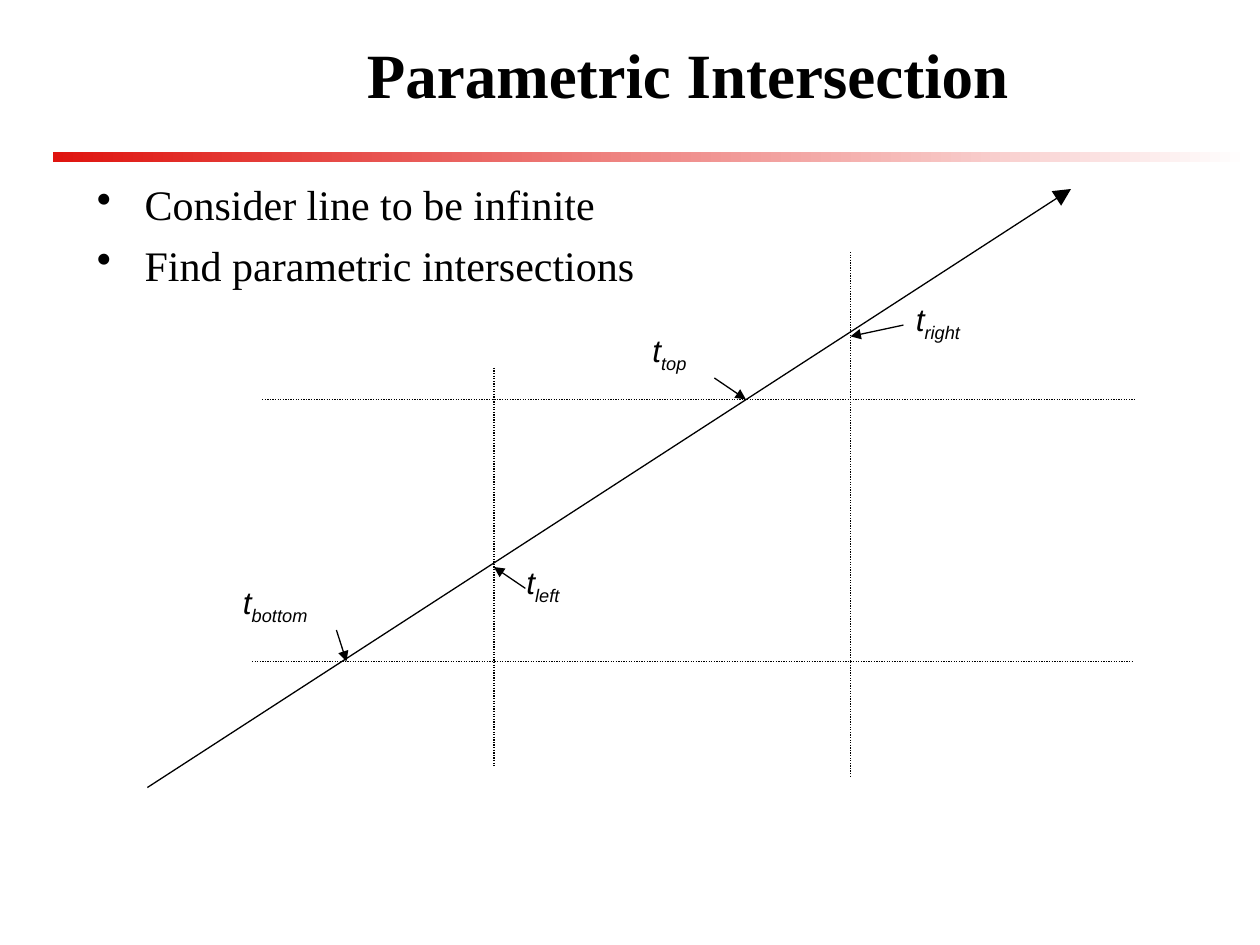
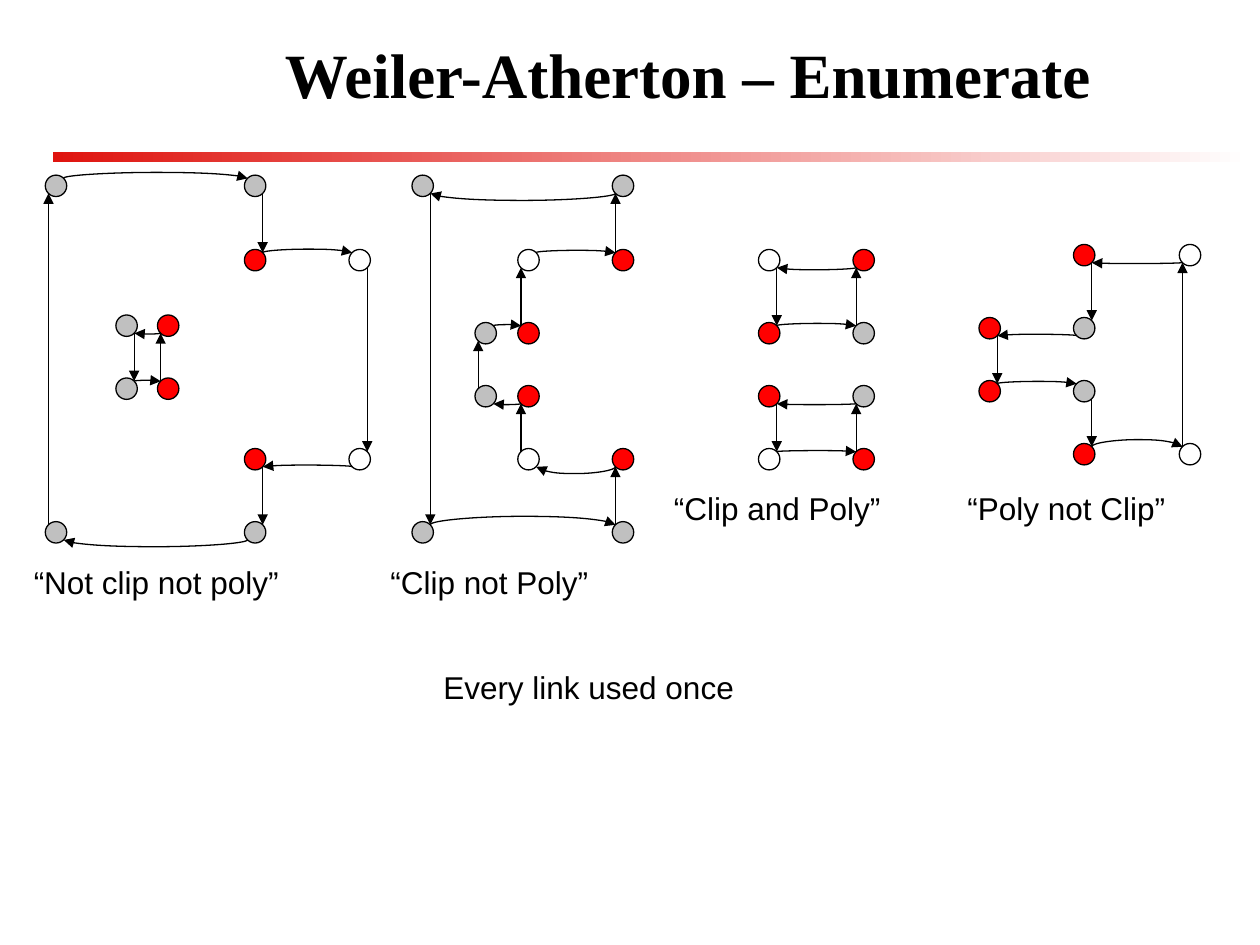
"""Build two slides on parametric intersection and Weiler-Atherton clipping."""
import pptx
import pptx.util
import pptx.dml.color
import pptx.enum.dml
import pptx.enum.shapes
import pptx.enum.text
import pptx.oxml.ns
from lxml import etree

Inches = pptx.util.Inches
Pt = pptx.util.Pt
RGB = pptx.dml.color.RGBColor.from_string
qn = pptx.oxml.ns.qn
SHAPE = pptx.enum.shapes.MSO_SHAPE
CONNECTOR = pptx.enum.shapes.MSO_CONNECTOR
COLORS = {"ink": "000000", "band": "DF140F", "paper": "FFFFFF", "gray": "C0C0C0", "red": "FF0000"}
SERIF, SANS = "Times New Roman", "Arial"
BEND_UNIT = 1588


def add_text(s, box, runs, size=18, font=SANS, bold=False, italic=False):
    tb = s.shapes.add_textbox(*[Inches(v) for v in box])
    tf = tb.text_frame
    tf.word_wrap = True
    p = tf.paragraphs[0]
    for text, baseline in runs:
        r = p.add_run()
        r.text = text
        r.font.name, r.font.size = font, Pt(size)
        r.font.bold, r.font.italic = bold, italic
        r.font.color.rgb = RGB(COLORS["ink"])
        if baseline:
            r.font._element.set("baseline", str(baseline))
    return tf


def add_line(s, start, end, head=None, dotted=False, bend=0):
    (x1, y1), (x2, y2) = start, end
    if bend:
        mid, half = (x1 + x2) / 2, (x2 - x1) / 2
        line = s.shapes.add_connector(CONNECTOR.CURVE, Inches(mid), Inches(y1 + half),
                                      Inches(mid) + BEND_UNIT, Inches(y1 - half))
        spPr = line._element.spPr
        spPr.find(qn("a:xfrm")).set("rot", "5400000")
        geom = spPr.find(qn("a:prstGeom"))
        guides = geom.find(qn("a:avLst"))
        if guides is None:
            guides = etree.SubElement(geom, qn("a:avLst"))
        etree.SubElement(guides, qn("a:gd"), name="adj1", fmla=f"val {bend * 100000}")
    else:
        line = s.shapes.add_connector(CONNECTOR.STRAIGHT, *[Inches(v) for v in (x1, y1, x2, y2)])
    line.line.color.rgb = RGB(COLORS["ink"])
    line.line.width = Pt(0.75)
    if dotted:
        line.line.dash_style = pptx.enum.dml.MSO_LINE.ROUND_DOT
    if head:
        etree.SubElement(line.line._get_or_add_ln(), qn("a:tailEnd"), type="triangle", w=head, len=head)
    etree.SubElement(line._element.spPr, qn("a:effectLst"))


prs = pptx.Presentation()
prs.slide_width, prs.slide_height = Inches(10), Inches(7.5)

slides = []
for title in ("Parametric Intersection", "Weiler-Atherton – Enumerate"):
    s = prs.slides.add_slide(prs.slide_layouts[6])
    band = s.shapes.add_shape(SHAPE.RECTANGLE, Inches(0.42), Inches(1.21), Inches(9.5), Inches(0.08))
    band.shadow.inherit = False
    band.line.fill.background()
    band.fill.gradient()
    band.fill.gradient_angle = 0
    for stop, color in zip(band.fill.gradient_stops, ("band", "paper")):
        stop.color.rgb = RGB(COLORS[color])
    tf = add_text(s, (1.17, 0.17, 8.58, 0.83), [(title, 0)], 36, SERIF, bold=True)
    tf.vertical_anchor = pptx.enum.text.MSO_ANCHOR.MIDDLE
    tf.paragraphs[0].alignment = pptx.enum.text.PP_ALIGN.CENTER
    slides.append(s)
intersection, enumerate_slide = slides

tf = add_text(intersection, (0.67, 1.33, 8.83, 1), [], 24, SERIF)
tf.margin_top = Inches(0.09)
for i, bullet in enumerate(("Consider line to be infinite", "Find parametric intersections")):
    p = tf.add_paragraph() if i else tf.paragraphs[0]
    pPr = p._p.get_or_add_pPr()
    pPr.set("marL", str(Inches(0.38)))
    pPr.set("indent", str(-Inches(0.38)))
    etree.SubElement(pPr, qn("a:buChar"), char="•")
    if i:
        p.space_before = Pt(6)
    r = p.add_run()
    r.text = bullet
    r.font.name, r.font.size = SERIF, Pt(24)
    r.font.color.rgb = RGB(COLORS["ink"])

clip_edges = [((3.92, 2.92), (3.92, 6.08)), ((6.75, 2), (6.75, 6.17)),
              ((2.08, 3.17), (9, 3.17)), ((2, 5.25), (9, 5.25))]
for start, end in clip_edges:
    add_line(intersection, start, end, dotted=True)
add_line(intersection, (1.17, 6.25), (8.5, 1.5), head="lg")

crossings = [("bottom", (1.83, 4.58, 0.91, 0.5), (2.67, 5), (2.75, 5.25)),
             ("left", (4.08, 4.42, 0.58, 0.5), (4.17, 4.67), (3.92, 4.5)),
             ("top", (5.08, 2.58, 0.58, 0.5), (5.67, 3), (5.92, 3.17)),
             ("right", (7.17, 2.33, 0.73, 0.5), (7.17, 2.58), (6.75, 2.67))]
for edge, box, start, end in crossings:
    add_line(intersection, start, end, head="med")
    add_text(intersection, box, [("t", 0), (edge, -25000)], italic=True)

# Each vertex: left, top, fill, bend of the link that leaves it
loops = [
    [(0.36, 4.14, "gray", 0), (0.36, 1.39, "gray", -29), (1.94, 1.39, "gray", 0), (1.94, 1.98, "red", -17),
     (2.77, 1.98, None, 0), (2.77, 3.56, None, -8), (1.94, 3.56, "red", 0), (1.94, 4.14, "gray", 35)],
    [(0.92, 2.5, "gray", 0), (0.92, 3, "gray", -4), (1.25, 3, "red", 0), (1.25, 2.5, "red", 5)],
    [(3.27, 1.39, "gray", 0), (3.27, 4.14, "gray", -42), (4.86, 4.14, "gray", 0), (4.86, 3.56, "red", 35),
     (4.11, 3.56, None, 0), (4.11, 3.06, "red", 5), (3.77, 3.06, "gray", 0), (3.77, 2.56, "gray", -5),
     (4.11, 2.56, "red", 0), (4.11, 1.98, None, -11), (4.86, 1.98, "red", 0), (4.86, 1.39, "gray", 36)],
    [(6.02, 1.98, None, 0), (6.02, 2.56, "red", -11), (6.77, 2.56, "gray", 0), (6.77, 1.98, "red", 11)],
    [(6.02, 3.06, "red", 0), (6.02, 3.56, None, -5), (6.77, 3.56, "red", 0), (6.77, 3.06, "gray", 5)],
    [(7.77, 2.52, "red", 0), (7.77, 3.02, "red", -11), (8.52, 3.02, "gray", 0), (8.52, 3.52, "red", -35),
     (9.36, 3.52, None, 0), (9.36, 1.94, None, 5), (8.52, 1.94, "red", 0), (8.52, 2.52, "gray", -7)],
]
diameter, reach = 0.17, 0.06
for loop in loops:
    for x, y, color, bend in loop:
        sp = enumerate_slide.shapes.add_shape(SHAPE.OVAL, Inches(x), Inches(y), Inches(diameter), Inches(diameter))
        sp.shadow.inherit = False
        sp.line.color.rgb = RGB(COLORS["ink"])
        sp.line.width = Pt(0.75)
        if color:
            sp.fill.solid()
            sp.fill.fore_color.rgb = RGB(COLORS[color])
        else:
            sp.fill.background()
    for (x1, y1, _, bend), (x2, y2, _, _) in zip(loop, loop[1:] + loop[:1]):
        ux, uy = (x2 > x1) - (x2 < x1), (y2 > y1) - (y2 < y1)
        r = diameter / 2
        start = (x1 + r + reach * (ux + uy), y1 + r + reach * (uy - ux))
        end = (x2 + r + reach * (uy - ux), y2 + r - reach * (ux + uy))
        add_line(enumerate_slide, start, end, head="med", bend=bend)

captions = [("“Not clip not poly”", 0.17, 4.42, 2.76), ("“Clip not Poly”", 3, 4.42, 2.27),
            ("“Clip and Poly”", 5.25, 3.83, 2.33), ("“Poly not Clip”", 7.58, 3.83, 2.27),
            ("Every link used once", 3.42, 5.25, 3)]
for caption, x, y, w in captions:
    add_text(enumerate_slide, (x, y, w, 0.5), [(caption, 0)])

prs.save("out.pptx")
